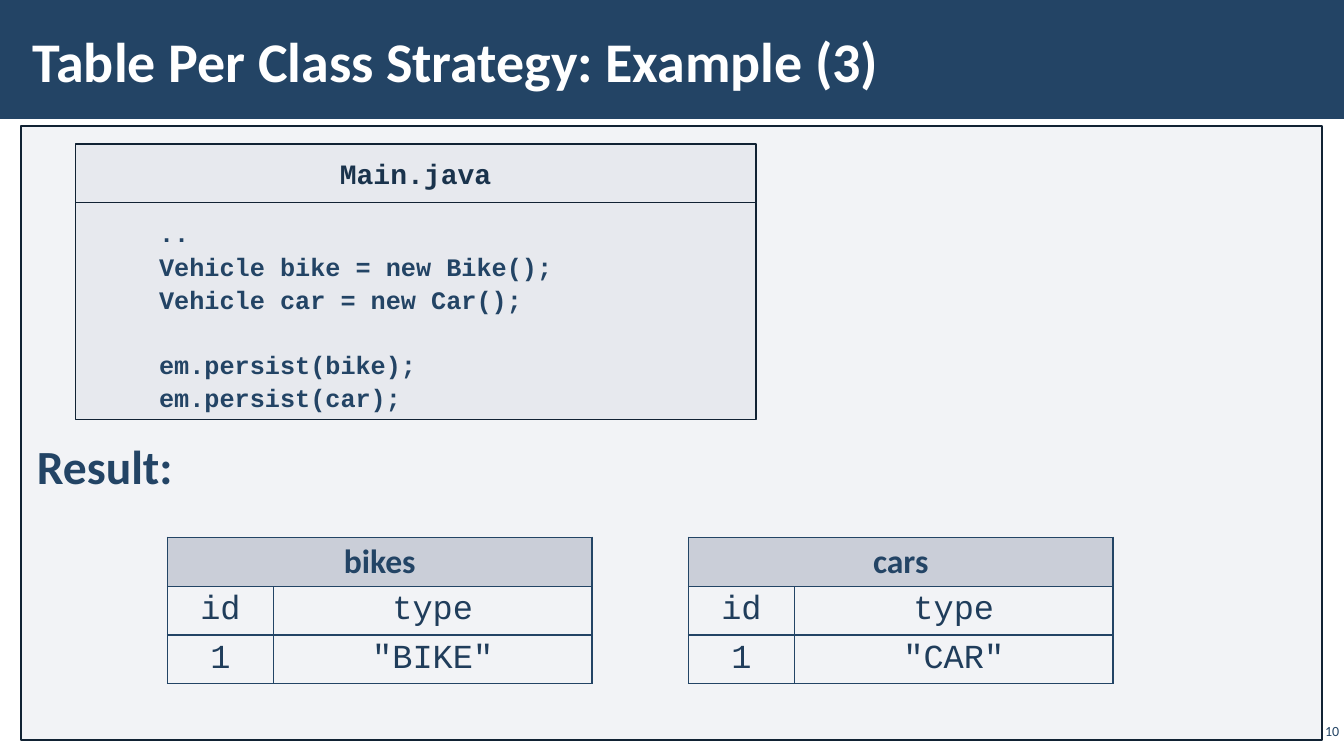
from lxml import etree
from pptx import Presentation
from pptx.dml.color import RGBColor
from pptx.enum.shapes import MSO_SHAPE
from pptx.enum.text import MSO_ANCHOR, MSO_AUTO_SIZE, PP_ALIGN
from pptx.oxml.ns import qn
from pptx.util import Cm, Pt

RECT = MSO_SHAPE.RECTANGLE
TOP, MIDDLE = MSO_ANCHOR.TOP, MSO_ANCHOR.MIDDLE
LEFT, CENTER, RIGHT = PP_ALIGN.LEFT, PP_ALIGN.CENTER, PP_ALIGN.RIGHT
NO_AUTOFIT = MSO_AUTO_SIZE.NONE

COLORS = {
    "navy": "234465",
    "white": "FFFFFF",
    "outline": "112233",
    "shade": "ADB4C3",
    "file": "1A334C",
    "table_head": "A3ABBC",
    "table_text": "203D5B",
}
SANS, MONO = "Calibri", "Courier New"
SLIDE_WIDTH, SLIDE_HEIGHT = Cm(33.87), Cm(19.05)

# Text formats: font, size, colour, bold
TITLE = (SANS, 40, "white", True)
RESULT = (SANS, 34, "navy", True)
NUMBER = (SANS, 10, "navy", False)
FILE_NAME = (MONO, 20, "file", True)
CODE = (MONO, 18, "navy", True)
TABLE_NAME = (SANS, 24, "navy", True)
TABLE_CELL = (MONO, 24, "table_text", False)

# Blocks of code, parted by an empty line's height
CODE_BLOCKS = [
    ["..", "Vehicle bike = new Bike();", "Vehicle car = new Car();"],
    ["em.persist(bike);", "em.persist(car);"],
]
CODE_LINE_SPACING = 1.1
CODE_BLOCK_GAP = Pt(22.5)

TABLE_LEFTS = {"bikes": 4.22, "cars": 17.35}
TABLE_VALUES = {"bikes": ["1", '"BIKE"'], "cars": ["1", '"CAR"']}
TABLE_TOP, ROW_HEIGHT = 13.54, 1.22
COLUMN_WIDTHS = [2.67, 8.03]


def rgb(name):
    return RGBColor.from_string(COLORS[name])


def set_alpha(fill_parent, percent):
    color = fill_parent.find(f"{qn('a:solidFill')}/{qn('a:srgbClr')}")
    etree.SubElement(color, qn("a:alpha"), val=str(percent * 1000))


def write(paragraph, text, style, align=LEFT, spacing=1.0):
    family, size, color, bold = style
    run = paragraph.add_run()
    run.text = text
    values = {"name": family, "size": Pt(size), "bold": bold}
    for attribute, value in values.items():
        setattr(run.font, attribute, value)
    run.font.color.rgb = rgb(color)
    paragraph.alignment = align
    paragraph.line_spacing = spacing


def set_frame(frame, insets, anchor=TOP):
    left, top, right, bottom = insets
    values = {
        "margin_left": Cm(left), "margin_top": Cm(top),
        "margin_right": Cm(right), "margin_bottom": Cm(bottom),
        "vertical_anchor": anchor, "word_wrap": True, "auto_size": NO_AUTOFIT,
    }
    for attribute, value in values.items():
        setattr(frame, attribute, value)


def add_box(slide, place, fill, alpha=100, outlined=True):
    box = slide.shapes.add_shape(RECT, *(Cm(length) for length in place))
    box.shadow.inherit = False
    box.fill.solid()
    box.fill.fore_color.rgb = rgb(fill)
    if alpha < 100:
        set_alpha(box.element.spPr, alpha)
    if outlined:
        box.line.color.rgb = rgb("outline")
        box.line.width = Pt(1)
    else:
        box.line.fill.background()
    return box


def add_title(slide, text):
    title = slide.shapes.title
    place = {"left": 0.53, "top": 0.28, "width": 26.39, "height": 2.46}
    for attribute, length in place.items():
        setattr(title, attribute, Cm(length))
    set_frame(title.text_frame, (0.3, 0.1, 0.3, 0.1), MIDDLE)
    write(title.text_frame.paragraphs[0], text, TITLE)
    # The band lies behind the title
    band = add_box(slide, (0, 0, 33.87, 3), "navy", outlined=False)
    title.element.addprevious(band.element)


def add_result_panel(slide):
    panel = add_box(slide, (0.53, 3.18, 32.79, 15.47), "shade", alpha=15)
    set_frame(panel.text_frame, (0.4, 7.82, 0.3, 0.1))
    write(panel.text_frame.paragraphs[0], "Result:", RESULT)


def add_slide_number(slide, number):
    box = slide.shapes.add_textbox(Cm(32.66), Cm(18.14), Cm(1.19), Cm(0.56))
    set_frame(box.text_frame, (0.1, 0.1, 0.1, 0.1), MIDDLE)
    write(box.text_frame.paragraphs[0], number, NUMBER, RIGHT)


def add_code(slide, file_name):
    body = add_box(slide, (1.9, 5.11, 17.15, 5.46), "shade", alpha=15)
    frame = body.text_frame
    set_frame(frame, (2.11, 0.3, 0.4, 0.3))
    paragraph = frame.paragraphs[0]
    for block_index, block in enumerate(CODE_BLOCKS):
        for line_index, line in enumerate(block):
            if block_index or line_index:
                paragraph = frame.add_paragraph()
            write(paragraph, line, CODE, spacing=CODE_LINE_SPACING)
            if block_index and line_index == 0:
                paragraph.space_before = CODE_BLOCK_GAP

    header = add_box(slide, (1.9, 3.63, 17.15, 1.48), "shade", alpha=15)
    set_frame(header.text_frame, (0.4, 0.3, 0.4, 0.3), MIDDLE)
    write(header.text_frame.paragraphs[0], file_name, FILE_NAME, CENTER)


def set_borders(cell):
    properties = cell._tc.get_or_add_tcPr()
    for index, side in enumerate(("a:lnL", "a:lnR", "a:lnT", "a:lnB")):
        border = etree.Element(qn(side), w=str(Pt(1)))
        fill = etree.SubElement(border, qn("a:solidFill"))
        etree.SubElement(fill, qn("a:srgbClr"), val=COLORS["navy"])
        properties.insert(index, border)


def format_cell(cell, text, is_head):
    values = {
        "margin_left": Cm(0.43), "margin_right": Cm(0.43),
        "margin_top": Cm(0.13), "margin_bottom": Cm(0.13),
        "vertical_anchor": TOP,
    }
    for attribute, value in values.items():
        setattr(cell, attribute, value)
    if is_head:
        cell.fill.solid()
        cell.fill.fore_color.rgb = rgb("table_head")
        set_alpha(cell._tc.tcPr, 50)
    else:
        cell.fill.background()
    set_borders(cell)
    if text:
        style = TABLE_NAME if is_head else TABLE_CELL
        write(cell.text_frame.paragraphs[0], text, style, CENTER, 0.95)


def add_result_table(slide, name):
    rows = [[name, ""], ["id", "type"], TABLE_VALUES[name]]
    table = slide.shapes.add_table(
        len(rows), len(COLUMN_WIDTHS), Cm(TABLE_LEFTS[name]), Cm(TABLE_TOP),
        Cm(sum(COLUMN_WIDTHS)), Cm(ROW_HEIGHT * len(rows))).table
    table.first_row = table.horz_banding = False
    for column, width in zip(table.columns, COLUMN_WIDTHS):
        column.width = Cm(width)
    table.cell(0, 0).merge(table.cell(0, 1))
    for row_index, texts in enumerate(rows):
        table.rows[row_index].height = Cm(ROW_HEIGHT)
        for column_index, text in enumerate(texts):
            format_cell(table.cell(row_index, column_index), text, row_index == 0)


def main():
    presentation = Presentation()
    presentation.slide_width = SLIDE_WIDTH
    presentation.slide_height = SLIDE_HEIGHT
    title_only = presentation.slide_layouts[5]
    slide = presentation.slides.add_slide(title_only)

    add_title(slide, "Table Per Class Strategy: Example (3)")
    add_result_panel(slide)
    add_slide_number(slide, "10")
    add_code(slide, "Main.java")
    for name in TABLE_LEFTS:
        add_result_table(slide, name)

    presentation.save("out.pptx")


if __name__ == "__main__":
    main()
